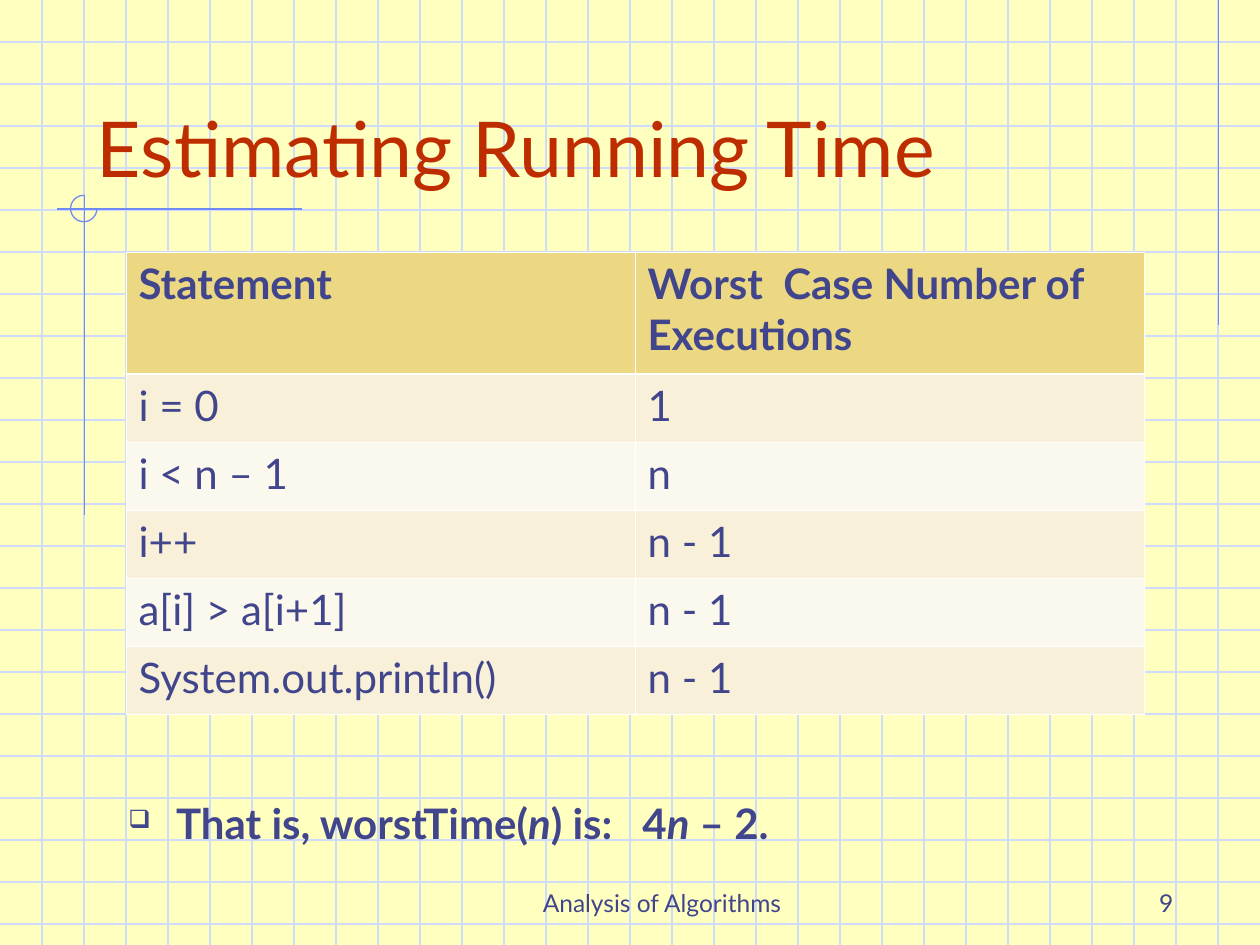
from lxml import etree
from pptx import Presentation
from pptx.dml.color import RGBColor
from pptx.enum.shapes import MSO_CONNECTOR, MSO_SHAPE
from pptx.enum.text import MSO_ANCHOR, PP_ALIGN
from pptx.oxml.ns import qn
from pptx.util import Inches, Pt

STRAIGHT = MSO_CONNECTOR.STRAIGHT
ARC = MSO_SHAPE.ARC
TOP, BOTTOM = MSO_ANCHOR.TOP, MSO_ANCHOR.BOTTOM
LEFT, CENTER, RIGHT = PP_ALIGN.LEFT, PP_ALIGN.CENTER, PP_ALIGN.RIGHT

FONT = "Lato"
WIDTH, HEIGHT = 10, 7.5
GRID_STEP = 1 / 3
COLORS = {
    "background": "FFFFBF",
    "grid": "CFDBFD",
    "accent": "6F89F7",
    "title": "BE2D00",
    "text": "40458C",
    "header": "ECD882",
    "odd_row": "F8F0D8",
    "even_row": "FBF8ED",
    "border": "FFFFFF",
}
ROWS = [
    ("Statement", "Worst  Case Number of Executions"),
    ("i = 0", "1"),
    ("i < n – 1", "n"),
    ("i++", "n - 1"),
    ("a[i] > a[i+1]", "n - 1"),
    ("System.out.println()", "n - 1"),
]
CONCLUSION = [
    ("That is, worstTime(", False),
    ("n", True),
    (") is:\t 4", False),
    ("n", True),
    (" – 2.", False),
]


def color(name):
    return RGBColor.from_string(COLORS[name])


def style_font(paragraph, size, color_name="text", bold=False):
    font = paragraph.font
    font.name = FONT
    font.size = Pt(size)
    font.bold = bold
    font.color.rgb = color(color_name)


def add_line(slide, start, end, color_name):
    line = slide.shapes.add_connector(STRAIGHT, *map(Inches, start + end))
    line.line.color.rgb = color(color_name)
    line.line.width = Pt(0.75)
    etree.SubElement(line._element.spPr, qn("a:effectLst"))


def add_grid(slide):
    for step in range(1, 23):
        y = step * GRID_STEP
        add_line(slide, (0, y), (WIDTH, y), "grid")
    for step in range(1, 30):
        x = step * GRID_STEP
        add_line(slide, (x, 0), (x, HEIGHT), "grid")


def add_accents(slide):
    add_line(slide, (9.67, 0), (9.67, 2.58), "accent")
    add_line(slide, (2.4, 1.66), (0.45, 1.66), "accent")
    add_line(slide, (0.67, 1.55), (0.67, 4.09), "accent")
    arc = slide.shapes.add_shape(ARC, Inches(0.56), Inches(1.55), Inches(0.21), Inches(0.21))
    arc.adjustments[0] = 0
    arc.adjustments[1] = 162
    arc.shadow.inherit = False
    arc.fill.background()
    arc.line.color.rgb = color("accent")
    arc.line.width = Pt(0.75)


def add_text_box(slide, box, anchor):
    frame = slide.shapes.add_textbox(*map(Inches, box)).text_frame
    frame.word_wrap = True
    frame.vertical_anchor = anchor
    return frame.paragraphs[0]


def add_label(slide, box, text, size, alignment=LEFT, color_name="text"):
    paragraph = add_text_box(slide, box, BOTTOM)
    paragraph.text = text
    paragraph.alignment = alignment
    style_font(paragraph, size, color_name)


def add_bullet(paragraph, character, indent):
    properties = paragraph._p.get_or_add_pPr()
    properties.set("marL", str(Inches(indent)))
    properties.set("indent", str(-Inches(indent)))
    bullet_color = etree.SubElement(properties, qn("a:buClr"))
    etree.SubElement(bullet_color, qn("a:srgbClr"), val=COLORS["text"])
    etree.SubElement(properties, qn("a:buSzPct"), val="60000")
    etree.SubElement(properties, qn("a:buChar"), char=character)
    tabs = etree.SubElement(properties, qn("a:tabLst"))
    for position in range(1, 9):
        etree.SubElement(tabs, qn("a:tab"), pos=str(Inches(position)), algn="l")


def add_conclusion(slide):
    paragraph = add_text_box(slide, (0.92, 6.28, 8.5, 0.5), TOP)
    add_bullet(paragraph, "❑", 0.38)
    style_font(paragraph, 24, bold=True)
    for text, italic in CONCLUSION:
        run = paragraph.add_run()
        run.text = text
        run.font.italic = italic


def set_borders(cell, widths):
    properties = cell._tc.get_or_add_tcPr()
    for side, width in zip("LRTB", widths):
        border = etree.SubElement(properties, qn(f"a:ln{side}"), w=str(Pt(width)))
        fill = etree.SubElement(border, qn("a:solidFill"))
        etree.SubElement(fill, qn("a:srgbClr"), val=COLORS["border"])


def add_statement_table(slide):
    table = slide.shapes.add_table(
        len(ROWS), 2, Inches(1), Inches(2), Inches(8.08), Inches(3.67)
    ).table
    for column in table.columns:
        column.width = Inches(4.04)
    for row_index, texts in enumerate(ROWS):
        header = row_index == 0
        table.rows[row_index].height = Inches(0.97 if header else 0.54)
        fill_name = "header" if header else "odd_row" if row_index % 2 else "even_row"
        top = 1.47 if row_index == 1 else 0.45
        bottom = 1.47 if header else 0.45
        for column_index, text in enumerate(texts):
            cell = table.cell(row_index, column_index)
            set_borders(cell, (0.45, 0.45, top, bottom))
            cell.fill.solid()
            cell.fill.fore_color.rgb = color(fill_name)
            cell.text = text
            style_font(cell.text_frame.paragraphs[0], 24, bold=header)


def main():
    presentation = Presentation()
    presentation.slide_width = Inches(WIDTH)
    presentation.slide_height = Inches(HEIGHT)
    slide = presentation.slides.add_slide(presentation.slide_layouts[6])
    slide.background.fill.solid()
    slide.background.fill.fore_color.rgb = color("background")

    add_grid(slide)
    add_accents(slide)
    add_label(slide, (3.67, 6.83, 3.17, 0.5), "Analysis of Algorithms", 14, CENTER)
    add_label(slide, (7.33, 6.83, 2.08, 0.5), "9", 14, RIGHT)
    add_label(slide, (0.67, 0.33, 8.5, 1.25), "Estimating Running Time", 44, color_name="title")
    add_conclusion(slide)
    add_statement_table(slide)
    presentation.save("out.pptx")


if __name__ == "__main__":
    main()
